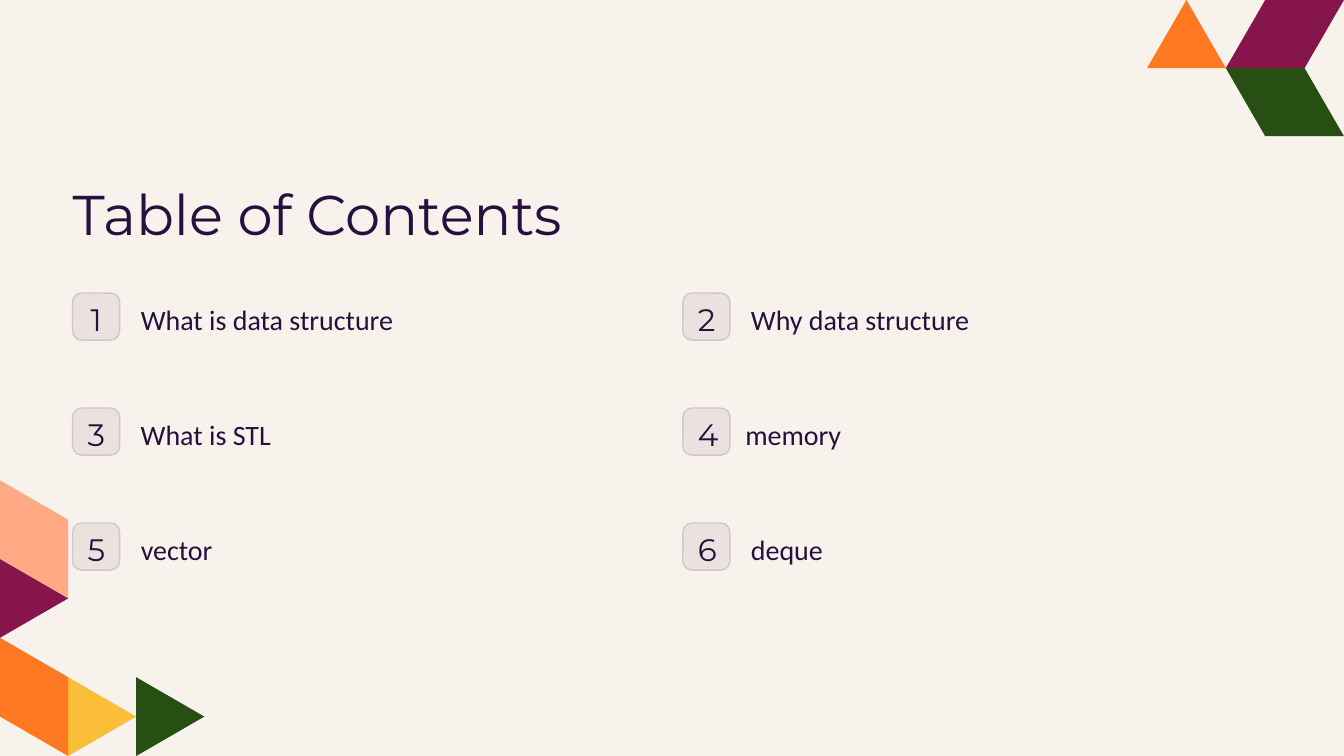
"""Build the table of contents slide."""
from typing import NamedTuple

from pptx import Presentation
from pptx.dml.color import RGBColor
from pptx.enum.shapes import MSO_SHAPE
from pptx.enum.text import MSO_ANCHOR, MSO_AUTO_SIZE, PP_ALIGN
from pptx.util import Pt

ROUNDED = MSO_SHAPE.ROUNDED_RECTANGLE
TOP = MSO_ANCHOR.TOP
NO_FIT = MSO_AUTO_SIZE.NONE
LEFT, CENTER = PP_ALIGN.LEFT, PP_ALIGN.CENTER

PAGE_WIDTH, PAGE_HEIGHT = 720, 405
INK, CREAM, TILE_FILL, TILE_EDGE = "27103E", "F7F2EC", "EBE2E0", "D1C8C6"
PLUM, GREEN, ORANGE, PEACH, YELLOW = "86154B", "274E13", "FF7922", "FFAA85", "FABE39"

HALF_SIDE, ALTITUDE = 21.1, 36.5
COLUMNS = (38.9, 365.8)
FIRST_ROW, ROW_STEP = 157, 61.6
TILE_SIZE, DIGIT_WIDTH, LABEL_GAP = 25.2, 9, 36.5


class Facet(NamedTuple):
    """Polygon whose corners count half sides and altitudes from a page corner."""
    color: str
    corners: tuple[tuple[int, int], ...]


class Entry(NamedTuple):
    """Line of the contents list."""
    text: str
    width: float
    shift: float = 0


RIGHT_FACETS = (
    Facet(PLUM, ((2, 0), (0, 0), (1, 1), (3, 1))),
    Facet(GREEN, ((3, 1), (1, 1), (0, 2), (2, 2))),
    Facet(ORANGE, ((4, 0), (5, 1), (3, 1))),
)
LEFT_FACETS = (
    Facet(PEACH, ((7, 0), (6, 1), (4, 1), (5, 0))),
    Facet(YELLOW, ((2, 1), (1, 2), (0, 1))),
    Facet(PLUM, ((5, 0), (4, 1), (3, 0))),
    Facet(ORANGE, ((3, 0), (2, 1), (0, 1), (1, 0))),
    Facet(GREEN, ((2, 2), (1, 3), (0, 2))),
)
ENTRIES = (
    Entry("What is data structure", 201),
    Entry("Why data structure", 197),
    Entry("What is STL", 282),
    Entry("memory", 105, -3),
    Entry("vector", 187),
    Entry("deque", 201),
)


def paint(target, color: str) -> None:
    """Give a fill a solid colour."""
    target.solid()
    target.fore_color.rgb = RGBColor.from_string(color)


def place(box, left: float, top: float, width: float, height: float) -> None:
    """Set the position and size of a box."""
    box.left, box.top = Pt(left), Pt(top)
    box.width, box.height = Pt(width), Pt(height)


def write(box, text: str, *, size: float, font: str, align=LEFT, spacing: float = 1.0) -> None:
    """Write one formatted paragraph into a box without margins."""
    frame = box.text_frame
    frame.margin_left = frame.margin_top = frame.margin_right = frame.margin_bottom = 0
    frame.word_wrap = True
    frame.auto_size = NO_FIT
    frame.vertical_anchor = TOP
    para = frame.paragraphs[0]
    para.alignment = align
    para.line_spacing = spacing
    para.space_before = Pt(0)
    span = para.add_run()
    span.text = text
    span.font.name = font
    span.font.size = Pt(size)
    span.font.color.rgb = RGBColor.from_string(INK)


def add_facet(page, color: str, points: list[tuple[float, float]]) -> None:
    """Draw a filled polygon through points."""
    corners = [(Pt(x), Pt(y)) for x, y in points]
    builder = page.shapes.build_freeform(*corners[0])
    builder.add_line_segments(corners[1:], close=True)
    shape = builder.convert_to_shape()
    shape.shadow.inherit = False
    paint(shape.fill, color)
    shape.line.fill.background()


def add_entry(page, index: int, entry: Entry) -> None:
    """Draw a numbered tile and its label."""
    row, column = divmod(index, len(COLUMNS))
    left, top = COLUMNS[column], FIRST_ROW + row * ROW_STEP
    tile = page.shapes.add_shape(ROUNDED, Pt(left), Pt(top), Pt(TILE_SIZE), Pt(TILE_SIZE))
    tile.adjustments[0] = 0.19
    tile.shadow.inherit = False
    paint(tile.fill, TILE_FILL)
    paint(tile.line.fill, TILE_EDGE)
    tile.line.width = Pt(0.75)
    digit = page.shapes.add_textbox(0, 0, 0, 0)
    place(digit, left + (TILE_SIZE - DIGIT_WIDTH) / 2, top + 4, DIGIT_WIDTH, 16.6)
    write(digit, str(index + 1), size=16.6, font="Montserrat", align=CENTER)
    label = page.shapes.add_textbox(0, 0, 0, 0)
    place(label, left + LABEL_GAP + entry.shift, top, entry.width, 17.3)
    write(label, entry.text, size=15, font="Calibri", spacing=1.27)


def main() -> None:
    """Build and save the deck."""
    deck = Presentation()
    deck.slide_width, deck.slide_height = Pt(PAGE_WIDTH), Pt(PAGE_HEIGHT)
    page = deck.slides.add_slide(deck.slide_layouts[5])
    paint(page.background.fill, CREAM)
    for color, corners in RIGHT_FACETS:
        add_facet(page, color, [(PAGE_WIDTH - a * HALF_SIDE, b * ALTITUDE) for a, b in corners])
    for color, corners in LEFT_FACETS:
        add_facet(page, color, [(b * ALTITUDE, PAGE_HEIGHT - a * HALF_SIDE) for a, b in corners])
    title = page.shapes.title
    place(title, COLUMNS[0], 87.1, 279.4, 34.6)
    write(title, "Table of Contents", size=30, font="Montserrat", spacing=1.25)
    for index, entry in enumerate(ENTRIES):
        add_entry(page, index, entry)
    deck.save("out.pptx")


if __name__ == "__main__":
    main()
